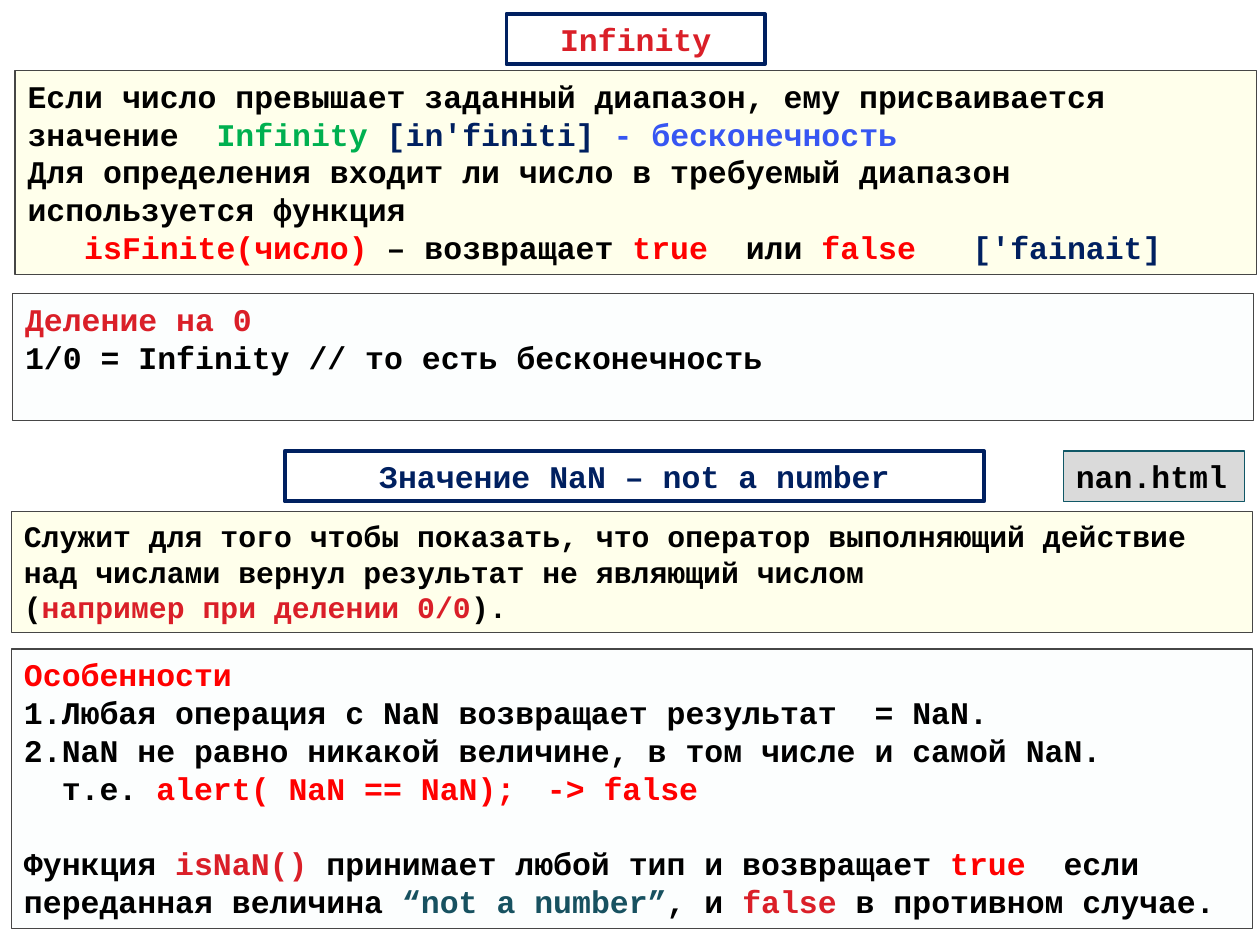
from pptx import Presentation
from pptx.dml.color import RGBColor
from pptx.enum.shapes import MSO_SHAPE
from pptx.enum.text import MSO_ANCHOR, MSO_AUTO_SIZE, PP_ALIGN
from pptx.oxml.ns import qn
from pptx.util import Inches, Pt
from lxml.etree import SubElement

COLORS = {
    "black": "000000", "white": "FFFFFF", "red": "FF0000", "crimson": "DA1F28",
    "green": "00B050", "navy": "002060", "blue": "3756F2", "teal": "175160",
    "yellow": "FFFF00", "ice": "DEF5FA", "gray": "DADADA",
    "border": "464646", "tag border": "105766",
}
COLUMNS, ROWS = 100, 75
CELL = Inches(10) // COLUMNS
CHAR = 0.15
PANEL_WIDTH = 98.5
FRAME_FORMAT = {
    "word_wrap": True, "auto_size": MSO_AUTO_SIZE.NONE,
    "margin_left": Inches(0.1), "margin_right": Inches(0.1),
    "margin_top": Inches(0.05), "margin_bottom": Inches(0.05),
}
PARAGRAPH_FORMAT = {"line_spacing": 1.0, "space_before": Pt(0), "space_after": Pt(0)}
FONT_FORMAT = {"name": "Courier New", "bold": True}


def apply(target, values):
    """Set every attribute in a dict of format values."""
    for name, value in values.items():
        setattr(target, name, value)


def rgb(color):
    """Look up a named colour."""
    return RGBColor.from_string(COLORS[color])


def place(slide, box, fill, border, width, holder=None):
    """Put a bordered rectangle, or a given placeholder, on the grid box."""
    edges = [round(cells * CELL) for cells in box]
    area = holder or slide.shapes.add_shape(MSO_SHAPE.RECTANGLE, *edges)
    apply(area, dict(zip(("left", "top", "width", "height"), edges)))
    if not holder:
        area.shadow.inherit = False
    area.fill.solid()
    area.fill.fore_color.rgb = rgb(fill)
    area.line.color.rgb = rgb(border)
    area.line.width = Pt(width)
    return area


def write(area, lines, size=18, anchor=MSO_ANCHOR.TOP, align=PP_ALIGN.LEFT):
    """Write lines, each a list of (text, colour) runs and a dict of spacing."""
    frame = area.text_frame
    apply(frame, {**FRAME_FORMAT, "vertical_anchor": anchor})
    for number, (runs, spacing) in enumerate(lines):
        line = frame.add_paragraph() if number else frame.paragraphs[0]
        gap = Pt(spacing.get("before", 0))
        apply(line, {**PARAGRAPH_FORMAT, "alignment": align, "space_before": gap})
        properties = line._p.get_or_add_pPr()
        properties.set("marL", "0")
        properties.set("indent", str(Inches(spacing.get("indent", 0) * CHAR)))
        SubElement(properties, qn("a:buNone"))
        for text, color in runs:
            run = line.add_run()
            run.text = text
            apply(run.font, {**FONT_FORMAT, "size": Pt(size)})
            run.font.color.rgb = rgb(color)


def heading(slide, box, text, color, holder=None):
    """Place a centred heading in a thick navy frame."""
    area = place(slide, box, "white", "navy", 2.25, holder)
    write(area, [([(text, color)], {})], anchor=MSO_ANCHOR.MIDDLE, align=PP_ALIGN.CENTER)


def panel(slide, box, tint, lines, size=18, holder=None):
    """Place a faintly tinted panel of text."""
    area = place(slide, box, tint, "border", 0.75, holder)
    tint_color = area.fill._xPr.find(qn("a:solidFill"))[0]
    SubElement(tint_color, qn("a:alpha")).set("val", "8000")
    write(area, lines, size)


def file_tag(slide, box, text):
    """Place a gray label with a file name."""
    area = place(slide, box, "gray", "tag border", 0.75)
    write(area, [([(text, "black")], {})])


INFINITY = [
    ([("Если число превышает заданный диапазон, ему присваивается значение  ", "black"),
      ("Infinity ", "green"), ("[in′finiti] ", "navy"), ("- бесконечность", "blue")], {}),
    ([("Для определения входит ли число в требуемый диапазон используется функция",
       "black")], {}),
    ([("isFinite(число) ", "red"), ("– возвращает ", "black"), ("true  ", "red"),
      ("или ", "black"), ("false\t", "red"), ("['fainait]", "navy")], {"indent": 3}),
]
DIVISION = [
    ([("Деление на 0", "crimson")], {}),
    ([("1/0 = Infinity // то есть бесконечность", "black")], {}),
]
NAN_PURPOSE = [
    ([("Служит для того чтобы показать, что оператор выполняющий действие над числами "
       "вернул результат не являющий числом", "black")], {}),
    ([("(", "black"), ("например при делении 0/0", "crimson"), (").", "black")], {}),
]
NAN_FEATURES = [
    ([("Особенности", "red")], {}),
    ([("1.Любая операция с NaN возвращает результат  = NaN.", "black")], {}),
    ([("2.NaN не равно никакой величине, в том числе и самой NaN.", "black")], {}),
    ([("т.е. ", "black"), ("alert( NaN == NaN);\t -> false", "red")], {"indent": 2}),
    ([("Функция ", "black"), ("isNaN() ", "crimson"),
      ("принимает любой тип и возвращает ", "black"), ("true  ", "red"),
      ("если переданная величина ", "black"), ("“not a number”", "teal"),
      (", и ", "black"), ("false ", "crimson"), ("в противном случае.", "black")],
     {"before": 21.5}),
]


def main():
    """Build the slide about Infinity and NaN."""
    deck = Presentation()
    apply(deck, {"slide_width": COLUMNS * CELL, "slide_height": ROWS * CELL})
    slide = deck.slides.add_slide(deck.slide_layouts[1])
    title, body = slide.placeholders
    heading(slide, (40.2, 1.1, 20.5, 4), "Infinity", "crimson", title)
    panel(slide, (1.2, 5.6, PANEL_WIDTH, 16.2), "yellow", INFINITY)
    panel(slide, (1, 23.3, PANEL_WIDTH, 10.1), "ice", DIVISION)
    heading(slide, (22.6, 35.8, 55.5, 4), "Значение NaN – not a number", "navy")
    file_tag(slide, (84.4, 35.8, 14.4, 4), "nan.html")
    panel(slide, (0.9, 40.6, PANEL_WIDTH, 9.6), "yellow", NAN_PURPOSE, size=17)
    panel(slide, (0.9, 51.5, PANEL_WIDTH, 22.2), "ice", NAN_FEATURES, holder=body)
    deck.save("out.pptx")


if __name__ == "__main__":
    main()
